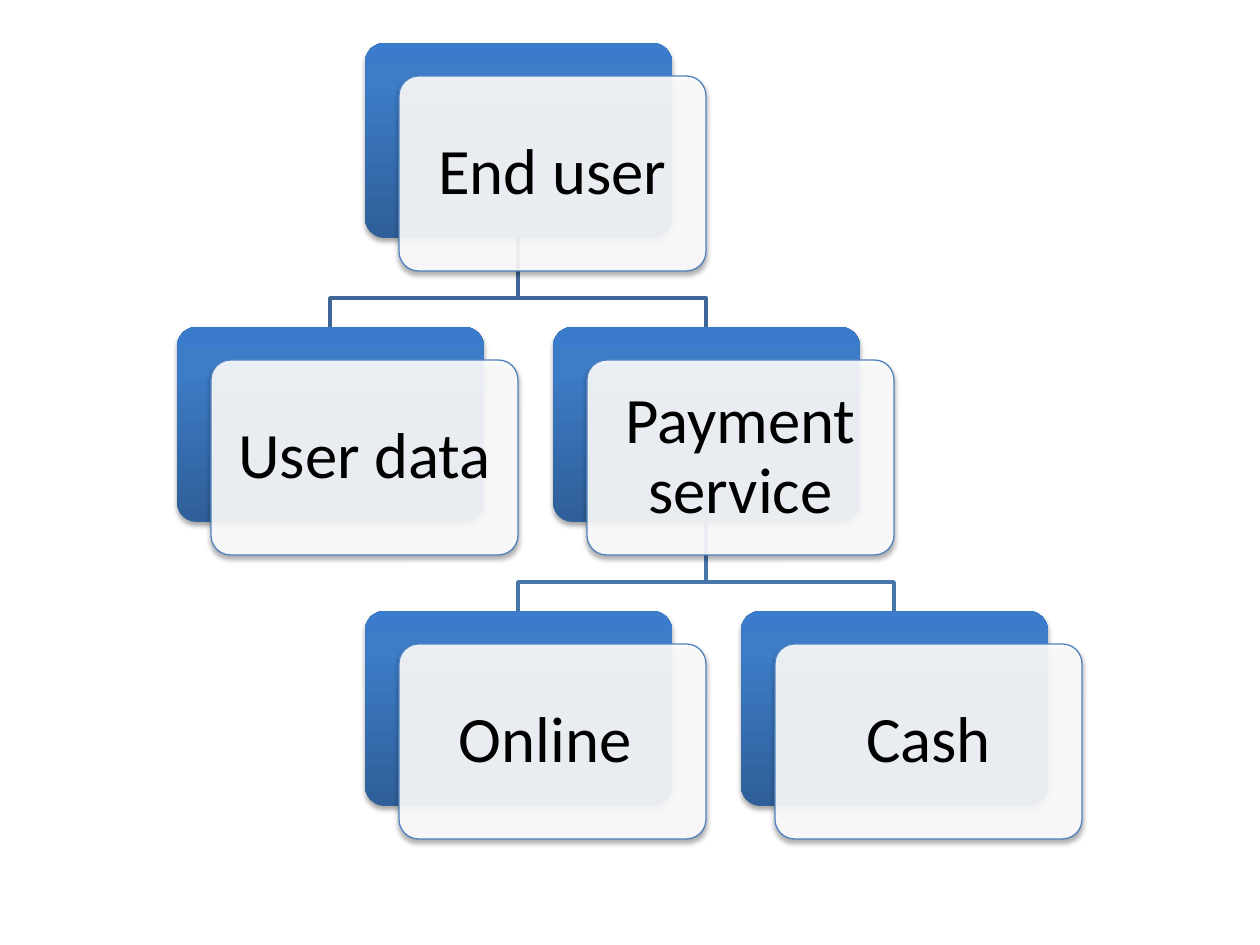
from lxml.etree import SubElement
from pptx import Presentation
from pptx.dml.color import RGBColor
from pptx.enum.shapes import MSO_SHAPE as SHAPE
from pptx.enum.text import MSO_ANCHOR as ANCHOR, PP_ALIGN as ALIGN
from pptx.oxml.ns import qn
from pptx.util import Pt

PX = 914400 // 126
LEFT, TOP = 177, 43
HALF_STEP, ROW_STEP = 188, 284
CARD_W, CARD_H = 307, 195
FRONT_DX, FRONT_DY = 34, 33
ELBOW_DROP = 60
INSET = 19

WHITE = RGBColor(0xFF, 0xFF, 0xFF)
BLACK = RGBColor(0x00, 0x00, 0x00)
OUTLINE = RGBColor(0x4F, 0x81, 0xBD)
UPPER_LINK = RGBColor(0x3F, 0x67, 0x97)
LOWER_LINK = RGBColor(0x48, 0x75, 0xAC)
GRADIENT = [
    (0, RGBColor(0x2F, 0x5F, 0x99)),
    (80, RGBColor(0x3D, 0x7C, 0xC7)),
    (100, RGBColor(0x3A, 0x7C, 0xCB)),
]

NODES = {
    "End user": (1, 0),
    "User data": (0, 1),
    "Payment service": (2, 1),
    "Online ": (1, 2),
    "Cash": (3, 2),
}
LINKS = [
    ("Payment service", "Cash", LOWER_LINK),
    ("Payment service", "Online ", LOWER_LINK),
    ("End user", "Payment service", UPPER_LINK),
    ("End user", "User data", UPPER_LINK),
]


def card_origin(name):
    """Return the left and top of a node's back card in px."""
    col, row = NODES[name]
    return LEFT + col * HALF_STEP, TOP + row * ROW_STEP


def add_link(slide, parent, child, color):
    """Draw the elbow line from a parent card down to a child card."""
    (x1, y1), (x2, y2) = card_origin(parent), card_origin(child)
    x1, x2, y1 = x1 + CARD_W // 2, x2 + CARD_W // 2, y1 + CARD_H
    bend = y1 + ELBOW_DROP
    builder = slide.shapes.build_freeform(x1, y1, scale=PX)
    builder.add_line_segments([(x1, bend), (x2, bend), (x2, y2)], close=False)
    sp = builder.convert_to_shape()
    sp.shadow.inherit = False
    sp.fill.background()
    sp.line.color.rgb = color
    sp.line.width = Pt(2)


def add_shadow(sp):
    """Give a shape a soft shadow that falls straight down."""
    sp.shadow.inherit = False
    effects = sp._element.spPr.find(qn("a:effectLst"))
    shadow = SubElement(effects, qn("a:outerShdw"), blurRad=str(Pt(3.1)),
                        dist=str(Pt(1.8)), dir="5400000", rotWithShape="0")
    color = SubElement(shadow, qn("a:srgbClr"), val=str(BLACK))
    SubElement(color, qn("a:alpha"), val="35000")


def add_card(slide, x, y):
    """Add a rounded card with a shadow."""
    sp = slide.shapes.add_shape(SHAPE.ROUNDED_RECTANGLE, x * PX, y * PX,
                                CARD_W * PX, CARD_H * PX)
    sp.adjustments[0] = 0.1
    return sp


def add_back_card(slide, x, y):
    """Add the blue gradient card behind a node."""
    sp = add_card(slide, x, y)
    sp.fill.gradient()
    sp.fill.gradient_angle = 90
    stops = sp._element.spPr.find(qn("a:gradFill")).find(qn("a:gsLst"))
    stops.clear()
    for position, color in GRADIENT:
        stop = SubElement(stops, qn("a:gs"), pos=str(position * 1000))
        SubElement(stop, qn("a:srgbClr"), val=str(color))
    sp.line.fill.background()
    add_shadow(sp)


def add_front_card(slide, x, y, text):
    """Add the translucent white card that carries a node's text."""
    sp = add_card(slide, x, y)
    sp.fill.solid()
    sp.fill.fore_color.rgb = WHITE
    color = sp._element.spPr.find(qn("a:solidFill")).find(qn("a:srgbClr"))
    SubElement(color, qn("a:alpha"), val="90000")
    sp.line.color.rgb = OUTLINE
    sp.line.width = Pt(0.75)
    add_shadow(sp)
    tf = sp.text_frame
    tf.word_wrap = True
    tf.vertical_anchor = ANCHOR.MIDDLE
    tf.margin_left = tf.margin_right = INSET * PX
    tf.margin_top = tf.margin_bottom = INSET * PX
    tf.text = text
    p = tf.paragraphs[0]
    p.alignment = ALIGN.CENTER
    p.line_spacing = 0.9
    font = p.runs[0].font
    font.name = "Calibri"
    font.size = Pt(37)
    font.color.rgb = BLACK


def add_node(slide, name):
    """Add both cards of a node."""
    x, y = card_origin(name)
    add_back_card(slide, x, y)
    add_front_card(slide, x + FRONT_DX, y + FRONT_DY, name)


def main():
    """Build the hierarchy slide and save it."""
    prs = Presentation()
    prs.slide_width, prs.slide_height = 1260 * PX, 945 * PX
    slide = prs.slides.add_slide(prs.slide_layouts[6])
    for parent, child, color in LINKS:
        add_link(slide, parent, child, color)
    for name in NODES:
        add_node(slide, name)
    prs.save("out.pptx")


if __name__ == "__main__":
    main()
